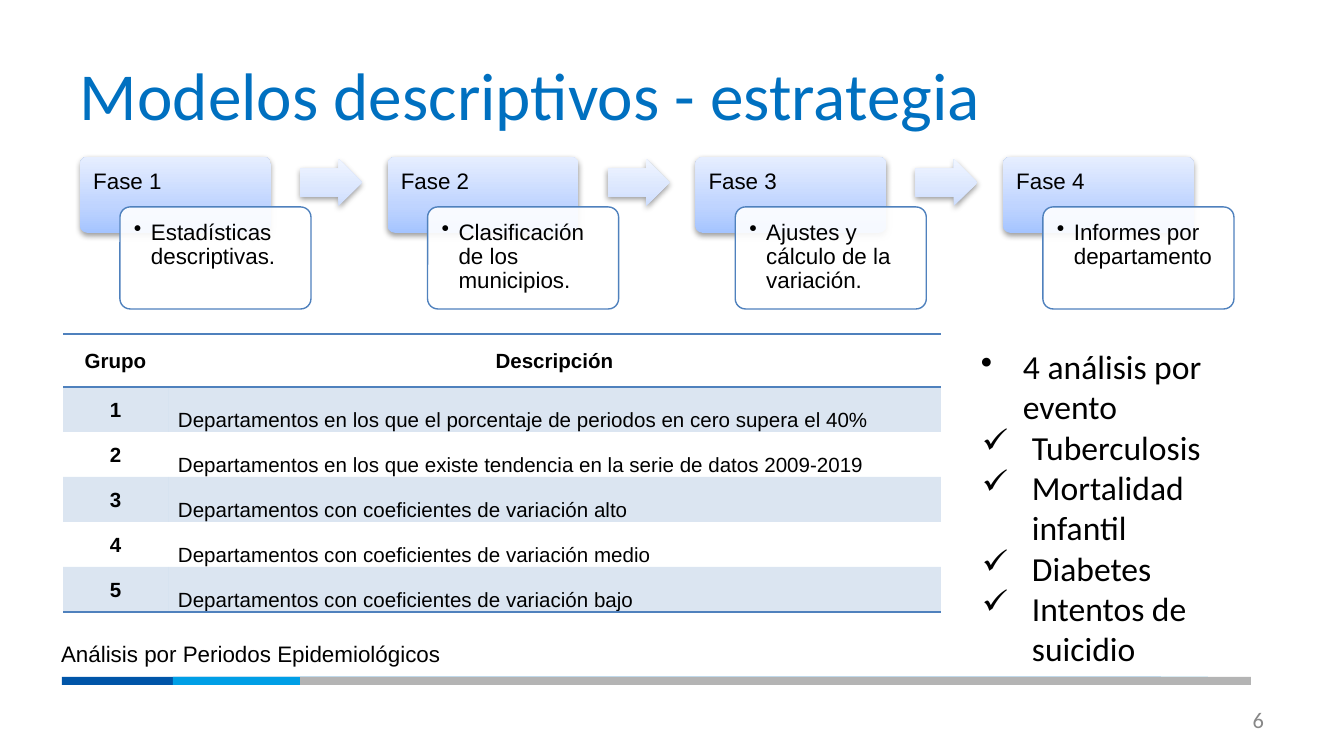
import dataclasses

import lxml.etree
import pptx
import pptx.dml.color
import pptx.enum.shapes
import pptx.enum.text
import pptx.oxml
import pptx.oxml.ns
import pptx.util

ALIGN = pptx.enum.text.PP_ALIGN
ANCHOR = pptx.enum.text.MSO_ANCHOR
SHAPE = pptx.enum.shapes.MSO_SHAPE
qn = pptx.oxml.ns.qn

# Content
TITLE = "Modelos descriptivos - estrategia"
PHASES = [
    ("Fase 1", "Estadísticas descriptivas."),
    ("Fase 2", "Clasificación de los municipios."),
    ("Fase 3", "Ajustes y cálculo de la variación."),
    ("Fase 4", "Informes por departamento"),
]
GROUPS = [
    ("Grupo", "Descripción"),
    ("1", "Departamentos en los que el porcentaje de periodos en cero supera el 40%"),
    ("2", "Departamentos en los que existe tendencia en la serie de datos 2009-2019"),
    ("3", "Departamentos con coeficientes de variación alto"),
    ("4", "Departamentos con coeficientes de variación medio"),
    ("5", "Departamentos con coeficientes de variación bajo"),
]
EVENTS_HEADING = "4 análisis por evento"
EVENTS = ["Tuberculosis", "Mortalidad infantil", "Diabetes", "Intentos de suicidio"]
NOTE = "Análisis por Periodos Epidemiológicos"
PAGE_NUMBER = "6"


@dataclasses.dataclass(frozen=True)
class Theme:
    heading_font: str = "Calibri"
    body_font: str = "Arial"
    title: str = "0070C0"
    text: str = "000000"
    muted: str = "888888"
    accent: str = "4F81BD"
    card: str = "FFFFFF"
    phase_gradient: tuple = ((0, "A4C4FF"), (35, "BFD4FF"), (100, "E6EEFF"))
    arrow_gradient: tuple = ((0, "CDDDFE"), (35, "DBE6FE"), (100, "F0F5FF"))
    title_size: int = 36
    list_size: int = 18
    body_size: int = 12
    table_size: int = 11


THEME = Theme()

# Layout in px: left, top, width, height
FOOTER_BARS = [("0055A8", 62, 1099), ("009FE6", 173, 1035), ("B4B4B4", 300, 951)]
FIRST_PHASE_LEFT, LAST_PHASE_LEFT = 80, 1003
PHASE_BOX = (0, 157, 191, 76)
DETAIL_BOX = (40, 207, 191, 102)
ARROW_BOX = (220, 159, 62, 47)
COLUMN_WIDTHS = (105, 773)
HEADER_HEIGHT, ROW_HEIGHT = 53, 45
NO_TABLE_STYLE = "{2D5ABB26-0587-4C30-8999-92F81FD0307C}"


def px(value):
    return pptx.util.Emu(round(value * 914400 / 134.4))


def rgb(value):
    return pptx.dml.color.RGBColor.from_string(value)


def box(left, top, width, height):
    return px(left), px(top), px(width), px(height)


def drawing_xml(content):
    """Parse one element whose tag has the a: prefix."""
    name, rest = content[1:].split(content[1 + len(content[1:].split(">")[0].split("/")[0].split(" ")[0])], 1)[0], content
    return pptx.oxml.parse_xml(rest.replace(name, f"{name} {pptx.oxml.ns.nsdecls('a')}", 1))


def set_opacity(properties, percent):
    color = properties.find(qn("a:solidFill")).find(qn("a:srgbClr"))
    lxml.etree.SubElement(color, qn("a:alpha"), val=str(percent * 1000))


def style(paragraph, size, font=THEME.body_font, color=THEME.text, bold=False,
          align=ALIGN.LEFT, spacing=None):
    paragraph.font.size = pptx.util.Pt(size)
    paragraph.font.name = font
    paragraph.font.color.rgb = rgb(color)
    paragraph.font.bold = bold
    paragraph.alignment = align
    if spacing:
        paragraph.line_spacing = spacing


def add_bullet(paragraph, character, indent, hanging):
    properties = paragraph._p.get_or_add_pPr()
    properties.set("marL", str(px(indent)))
    properties.set("indent", str(-px(hanging)))
    bullet = lxml.etree.Element(qn("a:buChar"), char=character)
    default_run = properties.find(qn("a:defRPr"))
    default_run.addprevious(bullet)


def set_frame(frame, horizontal, vertical, anchor=ANCHOR.TOP):
    frame.word_wrap = True
    frame.margin_left = frame.margin_right = px(horizontal)
    frame.margin_top = frame.margin_bottom = px(vertical)
    frame.vertical_anchor = anchor


def add_text(slide, position, text, size, anchor=ANCHOR.TOP, **options):
    frame = slide.shapes.add_textbox(*box(*position)).text_frame
    set_frame(frame, 13, 7, anchor)
    frame.text = text
    style(frame.paragraphs[0], size, **options)


def add_plain_shape(slide, kind, position, fill, adjustments=()):
    shape = slide.shapes.add_shape(kind, *box(*position))
    shape.shadow.inherit = False
    shape.fill.solid()
    shape.fill.fore_color.rgb = rgb(fill)
    shape.line.fill.background()
    for index, value in enumerate(adjustments):
        shape.adjustments[index] = value
    return shape


def add_gradient_shape(slide, kind, position, stops, adjustments):
    """Add a shape shaded from the bottom up, with a soft shadow below."""
    shape = add_plain_shape(slide, kind, position, stops[0][1], adjustments)
    properties = shape._element.spPr
    stop_xml = "".join(f'<a:gs pos="{position * 1000}"><a:srgbClr val="{color}"/></a:gs>'
                       for position, color in stops)
    gradient = drawing_xml(f'<a:gradFill rotWithShape="1"><a:gsLst>{stop_xml}</a:gsLst>'
                           '<a:lin ang="16200000" scaled="0"/></a:gradFill>')
    properties.replace(properties.find(qn("a:solidFill")), gradient)
    shadow = drawing_xml('<a:outerShdw blurRad="40000" dist="20000" dir="5400000" rotWithShape="0">'
                         '<a:srgbClr val="000000"><a:alpha val="38000"/></a:srgbClr></a:outerShdw>')
    properties.find(qn("a:effectLst")).append(shadow)
    return shape


def write_phase_text(shape, text):
    set_frame(shape.text_frame, 11, 11)
    shape.text_frame.text = text
    paragraph = shape.text_frame.paragraphs[0]
    style(paragraph, THEME.body_size, spacing=0.9)
    return paragraph


def add_phases(slide):
    pitch = (LAST_PHASE_LEFT - FIRST_PHASE_LEFT) / (len(PHASES) - 1)
    for index, (name, detail) in enumerate(PHASES):
        def place(left, *rest):
            return (FIRST_PHASE_LEFT + index * pitch + left, *rest)

        phase = add_gradient_shape(slide, SHAPE.ROUNDED_RECTANGLE, place(*PHASE_BOX),
                                   THEME.phase_gradient, [0.1])
        write_phase_text(phase, name)
        card = add_plain_shape(slide, SHAPE.ROUNDED_RECTANGLE, place(*DETAIL_BOX), THEME.card, [0.1])
        set_opacity(card._element.spPr, 90)
        card.line.color.rgb = rgb(THEME.accent)
        card.line.width = pptx.util.Pt(0.75)
        add_bullet(write_phase_text(card, detail), "•", 17, 17)
        if index < len(PHASES) - 1:
            add_gradient_shape(slide, SHAPE.RIGHT_ARROW, place(*ARROW_BOX),
                               THEME.arrow_gradient, [0.6, 0.5])


def add_groups_table(slide):
    last = len(GROUPS) - 1
    size = (sum(COLUMN_WIDTHS), HEADER_HEIGHT + last * ROW_HEIGHT)
    table = slide.shapes.add_table(len(GROUPS), 2, *box(63, 334, *size)).table
    table.first_row = table.horz_banding = False
    table._tbl.tblPr.find(qn("a:tableStyleId")).text = NO_TABLE_STYLE
    for column, width in zip(table.columns, COLUMN_WIDTHS):
        column.width = px(width)
    for row, values in enumerate(GROUPS):
        table.rows[row].height = px(ROW_HEIGHT if row else HEADER_HEIGHT)
        borders = {0: ("lnT", "lnB"), last: ("lnB",)}.get(row, ())
        for column, text in enumerate(values):
            cell = table.cell(row, column)
            cell.text = text
            cell.margin_left = cell.margin_right = px(10)
            cell.margin_top = cell.margin_bottom = 0
            label = row == 0 or column == 0
            cell.vertical_anchor = ANCHOR.MIDDLE if label else ANCHOR.BOTTOM
            style(cell.text_frame.paragraphs[0], THEME.table_size, bold=label,
                  align=ALIGN.CENTER if label else ALIGN.LEFT, spacing=1.07)
            properties = cell._tc.get_or_add_tcPr()
            for border in borders:
                line = lxml.etree.SubElement(properties, qn(f"a:{border}"), w=str(pptx.util.Pt(1)))
                fill = lxml.etree.SubElement(line, qn("a:solidFill"))
                lxml.etree.SubElement(fill, qn("a:srgbClr"), val=THEME.accent)
            if row % 2:
                cell.fill.solid()
                cell.fill.fore_color.rgb = rgb(THEME.accent)
                set_opacity(properties, 20)
            else:
                cell.fill.background()


def add_events(slide):
    frame = slide.shapes.add_textbox(*box(952, 333, 332, 224)).text_frame
    set_frame(frame, 13, 13)
    frame.text = "\n".join([EVENTS_HEADING, *EVENTS])
    for index, paragraph in enumerate(frame.paragraphs):
        style(paragraph, THEME.list_size, THEME.heading_font)
        add_bullet(paragraph, *(("✓", 67, 50) if index else ("•", 58, 42)))


def main():
    presentation = pptx.Presentation()
    presentation.slide_width, presentation.slide_height = px(1344), px(756)
    slide = presentation.slides.add_slide(presentation.slide_layouts[6])
    add_text(slide, (964, 700, 313, 40), PAGE_NUMBER, THEME.body_size, ANCHOR.MIDDLE,
             font=THEME.heading_font, color=THEME.muted, align=ALIGN.RIGHT)
    for color, left, width in FOOTER_BARS:
        add_plain_shape(slide, SHAPE.RECTANGLE, (left, 677, width, 8), color)
    add_text(slide, (67, 31, 1210, 126), TITLE, THEME.title_size, ANCHOR.MIDDLE,
             font=THEME.heading_font, color=THEME.title)
    add_events(slide)
    add_phases(slide)
    add_groups_table(slide)
    add_text(slide, (48, 633, 1227, 40), NOTE, THEME.body_size)
    presentation.save("out.pptx")


if __name__ == "__main__":
    main()
